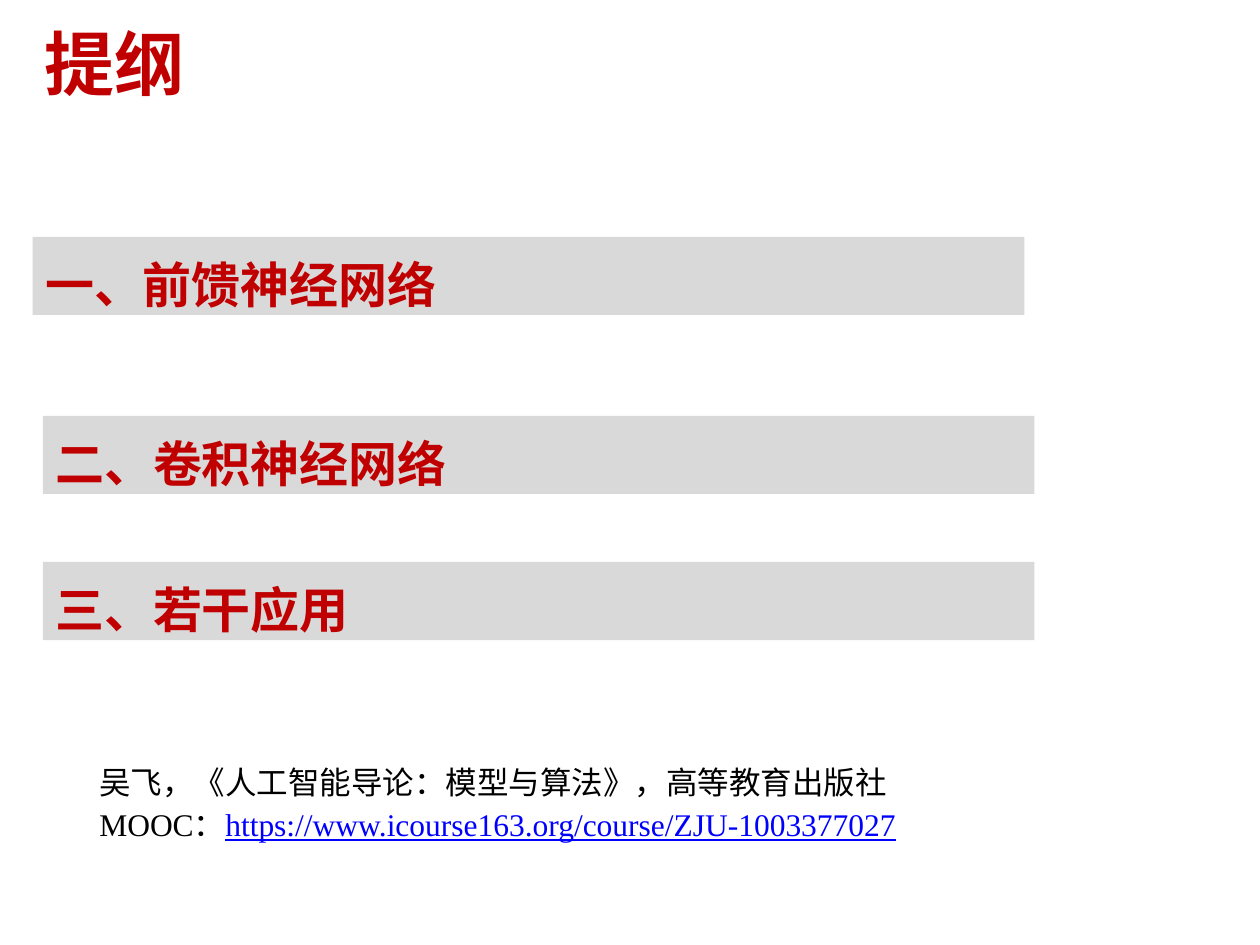
import pptx
import pptx.util
import pptx.dml.color
import pptx.enum.shapes
import pptx.enum.text

Inches = pptx.util.Inches
Pt = pptx.util.Pt
RGBColor = pptx.dml.color.RGBColor
Anchor = pptx.enum.text.MSO_ANCHOR

RED = RGBColor(0xC0, 0x00, 0x00)
GRAY = RGBColor(0xD9, 0xD9, 0xD9)
BLACK = RGBColor(0x00, 0x00, 0x00)
BLUE = RGBColor(0x00, 0x00, 0xFF)
FONT = "Times New Roman"

TOPICS = [
    ("一、前馈神经网络", 0.26, 1.88),
    ("二、卷积神经网络", 0.34, 3.3),
    ("三、若干应用", 0.34, 4.46),
]
BOOK = "吴飞，《人工智能导论：模型与算法》，高等教育出版社"
LINK = "https://www.icourse163.org/course/ZJU-1003377027"


def put_text(para, text, size=18, color=BLACK, bold=False, line=False):
    run = para.add_run()
    run.text = text
    font = run.font
    font.name = FONT
    font.size = Pt(size)
    font.color.rgb = color
    font.bold = bold
    font.underline = line


def set_frame(frame, anchor):
    frame.word_wrap = True
    frame.auto_size = pptx.enum.text.MSO_AUTO_SIZE.NONE
    frame.vertical_anchor = anchor
    frame.paragraphs[0].alignment = pptx.enum.text.PP_ALIGN.LEFT


def set_title(slide, text):
    title = slide.shapes.title
    title.left, title.top = Inches(0), Inches(0)
    title.width, title.height = Inches(7.42), Inches(0.99)
    frame = title.text_frame
    set_frame(frame, Anchor.MIDDLE)
    frame.margin_left = Inches(0.35)
    put_text(frame.paragraphs[0], text, size=40, color=RED, bold=True)


def add_bar(slide, text, left, top):
    bar = slide.shapes.add_shape(
        pptx.enum.shapes.MSO_SHAPE.RECTANGLE,
        Inches(left), Inches(top), Inches(7.87), Inches(0.62))
    bar.shadow.inherit = False
    bar.fill.solid()
    bar.fill.fore_color.rgb = GRAY
    bar.line.fill.background()
    set_frame(bar.text_frame, Anchor.TOP)
    para = bar.text_frame.paragraphs[0]
    para.line_spacing = 1.2
    put_text(para, text, size=28, color=RED, bold=True)


def add_source(slide):
    box = slide.shapes.add_textbox(
        Inches(0.69), Inches(6.14), Inches(8.34), Inches(0.62))
    frame = box.text_frame
    set_frame(frame, Anchor.TOP)
    book = frame.paragraphs[0]
    put_text(book, BOOK)
    course = frame.add_paragraph()
    course.space_before = Pt(12)
    put_text(course, "MOOC：")
    put_text(course, LINK, color=BLUE, line=True)
    for para in (book, course):
        para.line_spacing = Pt(12)


def main():
    deck = pptx.Presentation()
    deck.slide_width, deck.slide_height = Inches(10), Inches(7.5)
    slide = deck.slides.add_slide(deck.slide_layouts[5])
    set_title(slide, "提纲")
    for text, left, top in TOPICS:
        add_bar(slide, text, left, top)
    add_source(slide)
    deck.save("out.pptx")


if __name__ == "__main__":
    main()
